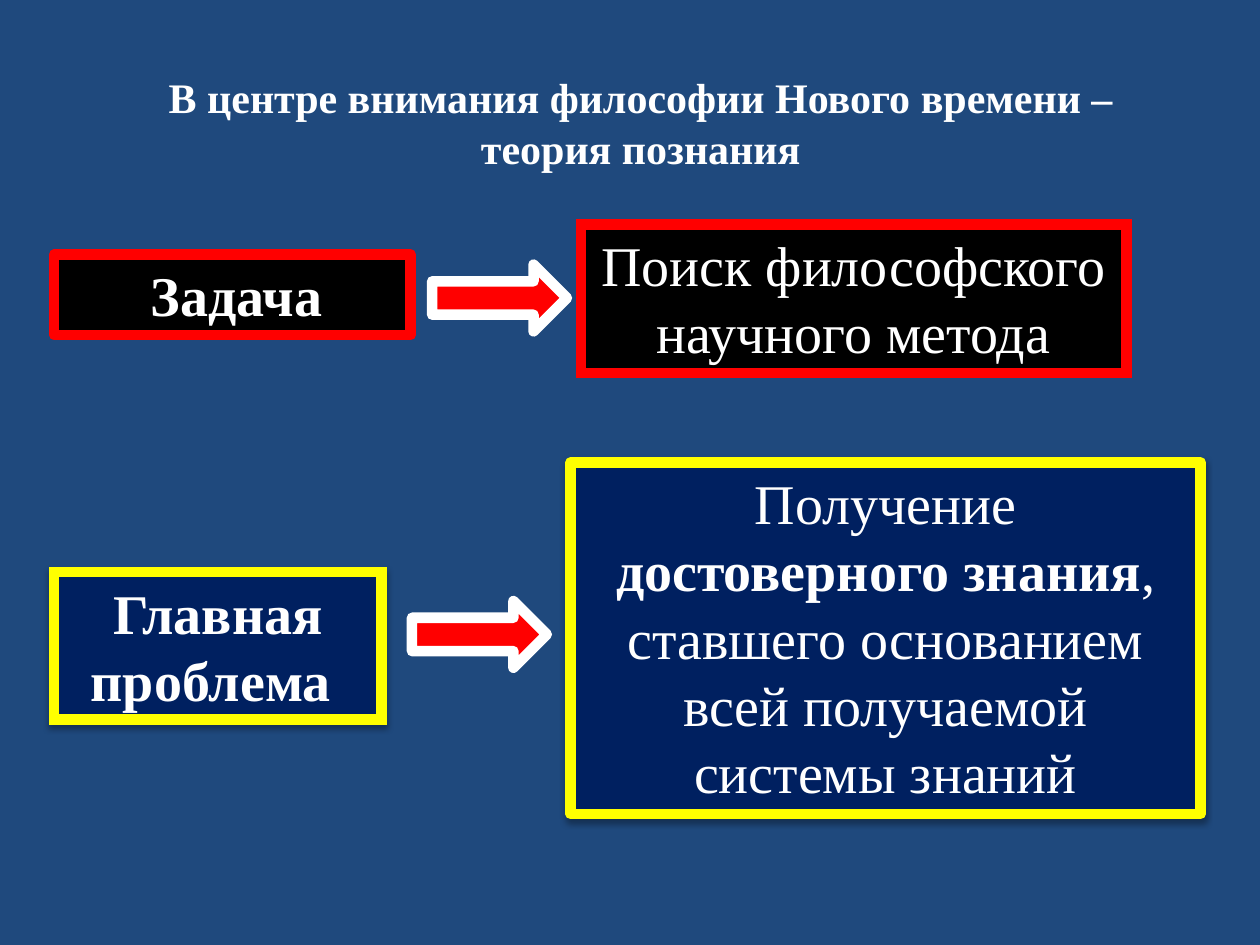
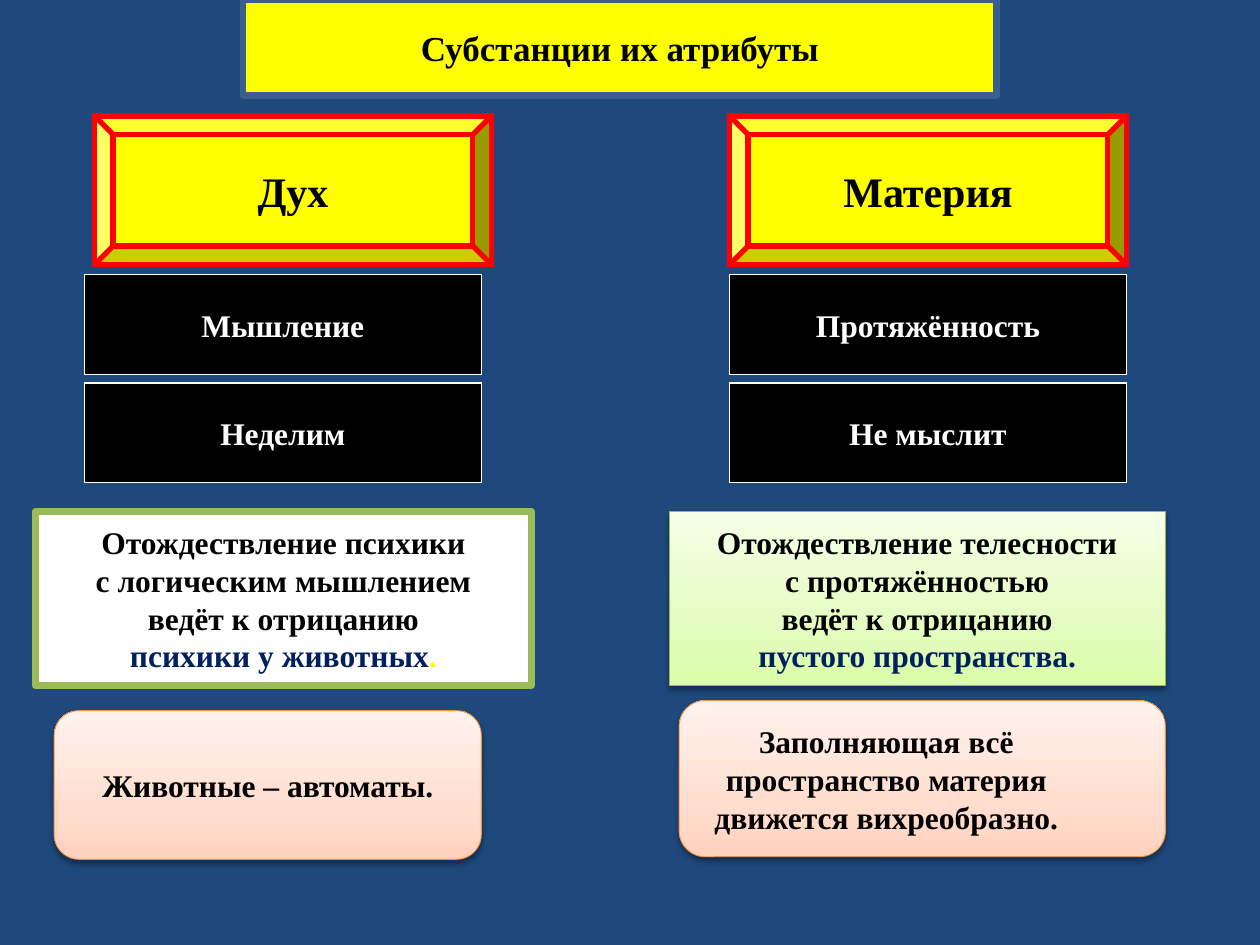
from lxml import etree
from pptx import Presentation
from pptx.dml.color import RGBColor
from pptx.enum.shapes import MSO_SHAPE
from pptx.enum.text import MSO_ANCHOR, PP_ALIGN
from pptx.oxml.ns import qn
from pptx.util import Inches, Pt

RECT, ROUNDED = MSO_SHAPE.RECTANGLE, MSO_SHAPE.ROUNDED_RECTANGLE
BEVEL, ARROW = MSO_SHAPE.BEVEL, MSO_SHAPE.DOWN_ARROW
TOP, MIDDLE = MSO_ANCHOR.TOP, MSO_ANCHOR.MIDDLE
LEFT, CENTER = PP_ALIGN.LEFT, PP_ALIGN.CENTER

COLORS = {
    "back": "1F497D", "black": "000000", "white": "FFFFFF", "red": "FF0000",
    "yellow": "FFFF00", "navy": "002060", "steel": "3A5F8C",
    "green": "9BBB59", "leaf": "98B955", "orange": "F69240",
}
GRADIENTS = {
    "lime": [(0, "DAFDA7"), (35, "E4FCC2"), (100, "F5FFE7")],
    "peach": [(0, "FFD2BD"), (35, "FFDED0"), (100, "FFF2ED")],
}
FONT = "Times New Roman"
COLS, ROWS = 100, 75


def rgb(name):
    return RGBColor.from_string(COLORS[name])


def add_color(parent, value):
    return etree.SubElement(parent, qn("a:srgbClr"), val=value)


class Deck:
    def __init__(self):
        self.prs = Presentation()
        self.prs.slide_width, self.prs.slide_height = Inches(10), Inches(7.5)
        self.s = None

    def slide(self):
        self.s = self.prs.slides.add_slide(self.prs.slide_layouts[6])
        fill = self.s.background.fill
        fill.solid()
        fill.fore_color.rgb = rgb("back")

    def place(self, at):
        col, row, width, height = at
        unit_x, unit_y = self.prs.slide_width / COLS, self.prs.slide_height / ROWS
        return (round(col * unit_x), round(row * unit_y),
                round(width * unit_x), round(height * unit_y))

    def shape(self, at, fill, line, weight, kind=RECT, miter=False, shadow=None):
        sp = self.s.shapes.add_shape(kind, *self.place(at))
        sp.shadow.inherit = False
        props = sp._element.spPr
        if fill in GRADIENTS:
            sp.fill.gradient()
            sp.fill.gradient_angle = 90
            stops = props.find(qn("a:gradFill")).find(qn("a:gsLst"))
            stops.clear()
            for position, value in GRADIENTS[fill]:
                add_color(etree.SubElement(stops, qn("a:gs"), pos=str(position * 1000)), value)
        else:
            sp.fill.solid()
            sp.fill.fore_color.rgb = rgb(fill)
        sp.line.color.rgb = rgb(line)
        sp.line.width = Pt(weight)
        if miter:
            etree.SubElement(props.find(qn("a:ln")), qn("a:miter"), lim="800000")
        if shadow:
            opacity, distance = shadow
            outer = etree.SubElement(
                props.find(qn("a:effectLst")), qn("a:outerShdw"), blurRad=str(int(Pt(3.5))),
                dist=str(int(Pt(distance))), dir="5400000", rotWithShape="0")
            shade = add_color(outer, COLORS["black"])
            etree.SubElement(shade, qn("a:alpha"), val=str(opacity * 1000))
        return sp

    def label(self, sp, text, size, color="white", bold=True, anchor=TOP,
              align=CENTER, wrap=True, tail=()):
        tf = sp.text_frame
        tf.word_wrap = wrap
        tf.vertical_anchor = anchor
        tf.text = text
        styled = [(r, color, bold) for p in tf.paragraphs for r in p.runs]
        for words, tint, heavy in tail:
            r = tf.paragraphs[0].add_run()
            r.text = words
            styled.append((r, tint, heavy))
        for p in tf.paragraphs:
            p.alignment = align
        for r, tint, heavy in styled:
            r.font.name, r.font.size, r.font.bold = FONT, Pt(size), heavy
            r.font.color.rgb = rgb(tint)
        return tf

    def heading(self, at, text):
        self.label(self.s.shapes.add_textbox(*self.place(at)), text, 24)

    def arrow(self, at):
        self.shape(at, "red", "white", 6, ARROW).rotation = 270

    def indent(self, p, side, columns):
        p._p.get_or_add_pPr().set(side, str(self.place((columns, 0, 0, 0))[0]))


def theory_of_knowledge(deck):
    deck.slide()
    deck.heading((8.3, 5.2, 85.1, 9.1),
                 "В центре внимания философии Нового времени – теория познания")

    task = deck.shape((4.3, 20.2, 28.3, 6.4), "black", "red", 6)
    tf = deck.label(task, "Задача", 32, align=LEFT)
    deck.indent(tf.paragraphs[0], "marL", 6.7)
    method = deck.shape((46.1, 17.8, 43.3, 11.8), "black", "red", 6, miter=True)
    deck.label(method, "Поиск философского научного метода", 32, bold=False)

    soft = (32, 2.2)
    problem = deck.shape((4.3, 45.4, 26, 11.7), "navy", "yellow", 6, miter=True, shadow=soft)
    deck.label(problem, "Главная проблема ", 32)
    knowledge = deck.shape((45.3, 36.7, 50, 27.9), "navy", "yellow", 6, shadow=soft)
    deck.label(knowledge, "Получение ", 32, bold=False, tail=[
        ("достоверного знания", "white", True),
        (", ставшего основанием всей получаемой системы знаний", "white", False)])

    for col, row in ((37, 18.3), (35.4, 45)):
        deck.arrow((col, row, 5.3, 10.7))


def substances(deck):
    deck.slide()
    title = deck.shape((19.3, 0, 59.8, 7.6), "yellow", "steel", 3.78)
    deck.label(title, "Субстанции их атрибуты", 20, "black", anchor=MIDDLE)

    columns = [
        (7.5, "Дух", 6.7, ("Мышление", "Неделим")),
        (57.9, "Материя", 57.9, ("Протяжённость", "Не мыслит")),
    ]
    for name_col, name, attribute_col, attributes in columns:
        plate = deck.shape((name_col, 9.2, 31.5, 11.8), "yellow", "red", 3, BEVEL, miter=True)
        deck.label(plate, name, 24, "black", anchor=MIDDLE, wrap=False)
        for i, attribute in enumerate(attributes):
            box = deck.shape((attribute_col, 21.8 + 8.6 * i, 31.5, 7.9),
                             "black", "white", 0.75, miter=True)
            deck.label(box, attribute, 18, anchor=MIDDLE, wrap=False)

    soft = (38, 2)
    denials = [
        (2.8, "white", "green", 3.78, None, "психики\vс логическим мышлением",
         [("психики у животных", "navy", True), (".", "yellow", True)]),
        (53.1, "lime", "leaf", 0.5, soft, "телесности\vс протяжённостью",
         [("пустого пространства.", "navy", True)]),
    ]
    for col, fill, line, weight, shadow, subject, denied in denials:
        box = deck.shape((col, 40.6, 39.4, 13.8), fill, line, weight, shadow=shadow)
        deck.label(box, f"Отождествление {subject}\vведёт к отрицанию\v", 18, "black",
                   anchor=MIDDLE, wrap=False, tail=denied)

    conclusions = [
        ((4.3, 56.4, 33.9, 11.8), "Животные – автоматы.", 0),
        ((53.9, 55.6, 38.6, 12.4),
         "Заполняющая всё\nпространство материя движется вихреобразно.", 5.7),
    ]
    for at, text, first_line_inset in conclusions:
        box = deck.shape(at, "peach", "orange", 0.5, ROUNDED, shadow=soft)
        tf = deck.label(box, text, 18, "black", anchor=MIDDLE)
        deck.indent(tf.paragraphs[0], "marR", first_line_inset)


def main():
    deck = Deck()
    theory_of_knowledge(deck)
    substances(deck)
    deck.prs.save("out.pptx")


if __name__ == "__main__":
    main()
